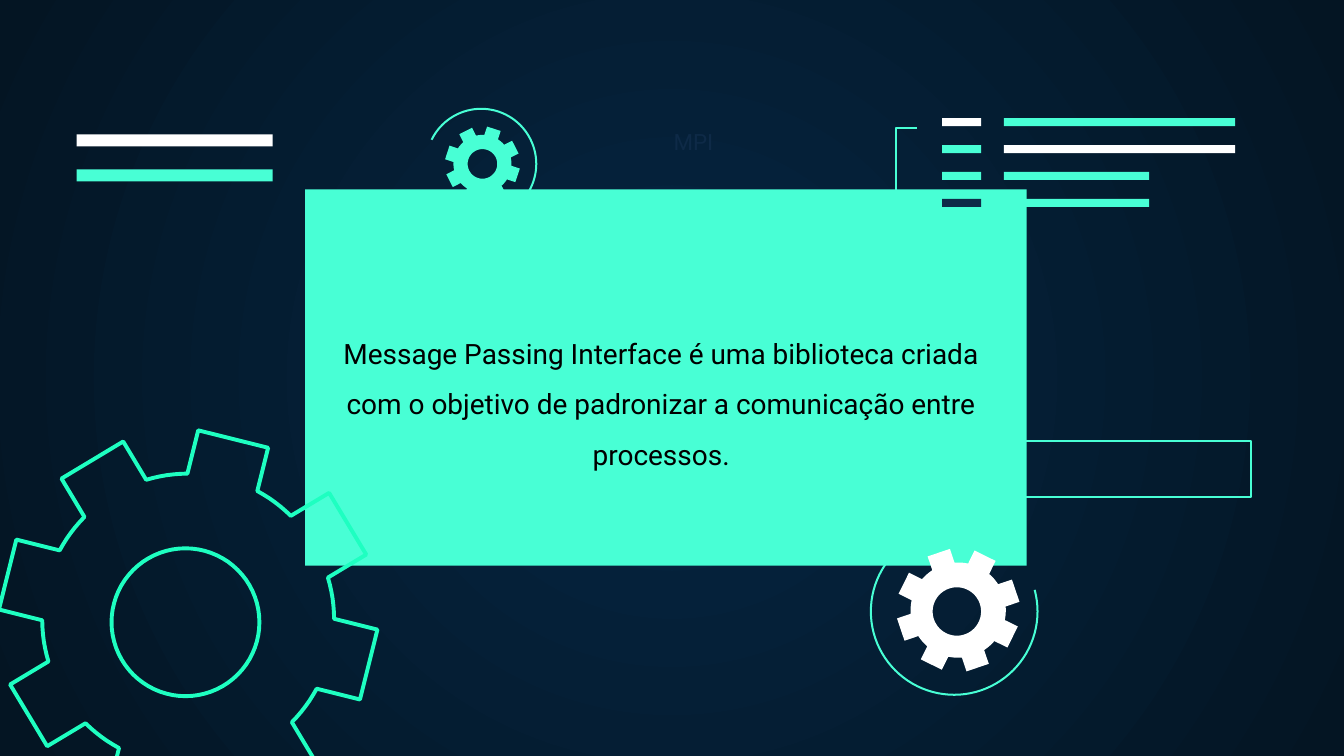
from math import asin, cos, radians, sin

from lxml.etree import SubElement
from pptx import Presentation
from pptx.dml.color import RGBColor
from pptx.enum.shapes import MSO_SHAPE
from pptx.enum.text import MSO_ANCHOR, PP_ALIGN
from pptx.oxml.ns import qn
from pptx.util import Inches, Pt

MINT, GREEN, WHITE, NAVY = "48FFD5", "1EFFC1", "FFFFFF", "0E2A47"


def color(hex_value):
    return RGBColor.from_string(hex_value)


def paint(shape, fill=None, line=None, width=1.09):
    """Give a shape a plain fill and line, or none, and no shadow."""
    shape.shadow.inherit = False
    for part, value in ((shape.fill, fill), (shape.line.fill, line)):
        if value:
            part.solid()
            part.fore_color.rgb = color(value)
        else:
            part.background()
    if line:
        shape.line.width = Pt(width)


presentation = Presentation()
presentation.slide_width = Inches(10)
presentation.slide_height = Inches(10 * 9 / 16)
slide = presentation.slides.add_slide(presentation.slide_layouts[6])
shapes = slide.shapes

# Background: radial gradient from the centre
background = slide.background.fill
background.gradient()
for stop, value in zip(background.gradient_stops, ("052643", "041523")):
    stop.color.rgb = color(value)
gradient = next(slide.element.iter(qn("a:gradFill")))
gradient.remove(gradient.find(qn("a:lin")))
radial = SubElement(gradient, qn("a:path"), path="circle")
SubElement(radial, qn("a:fillToRect"), l="50000", t="50000", r="50000", b="50000")

# Panel and the outlined box beside it
for left, top, width, height, fill, line in (
    (2.27, 1.41, 5.37, 2.8, MINT, None),
    (7.2, 3.28, 2.11, 0.42, None, MINT),
):
    box = shapes.add_shape(MSO_SHAPE.RECTANGLE, Inches(left), Inches(top), Inches(width), Inches(height))
    paint(box, fill, line)

# Arcs around the small gears: centre, radius, start and end in degrees
for x, y, radius, start, end in (
    (3.58, 1.22, 0.41, 206, 96),
    (7.1, 4.55, 0.62, 345, 233),
):
    arc = shapes.add_shape(
        MSO_SHAPE.ARC, Inches(x - radius), Inches(y - radius), Inches(2 * radius), Inches(2 * radius)
    )
    # Adjustments count 100000 to the unit, angles 60000 to the degree
    arc.adjustments[0] = start * 0.6
    arc.adjustments[1] = end * 0.6
    paint(arc, line=MINT)

# Gears with eight teeth: centre, tip radius, angle of a tooth, hole centre and radius
TEETH, ROOT_RATIO, HALF_TOOTH = 8, 0.77, 0.19
for x, y, tip, turn, hole_x, hole_y, hole, fill, line in (
    (1.4, 4.61, 1.41, 14, 1.38, 4.63, 0.55, None, GREEN),
    (7.13, 4.54, 0.46, 26.3, 7.12, 4.55, 0.18, WHITE, None),
    (3.59, 1.22, 0.28, 18, 3.59, 1.22, 0.11, MINT, None),
):
    root = ROOT_RATIO * tip
    tip_angle = asin(HALF_TOOTH)
    root_angle = asin(HALF_TOOTH / ROOT_RATIO)
    pitch = radians(360 / TEETH)
    valley = pitch - 2 * root_angle
    outline = []
    for tooth in range(TEETH):
        middle = radians(turn) + tooth * pitch
        corners = [(root, -root_angle), (tip, -tip_angle), (tip, tip_angle)]
        corners += [(root, root_angle + valley * step / 6) for step in range(6)]
        outline += [
            (Inches(x + radius * cos(middle + angle)), Inches(y + radius * sin(middle + angle)))
            for radius, angle in corners
        ]
    circle = [
        (Inches(hole_x + hole * cos(radians(angle))), Inches(hole_y + hole * sin(radians(angle))))
        for angle in range(360, 0, -5)
    ]
    builder = shapes.build_freeform(*outline[0])
    builder.add_line_segments(outline[1:], close=True)
    builder.move_to(*circle[0])
    builder.add_line_segments(circle[1:], close=True)
    paint(builder.convert_to_shape(), fill, line, 2.1)

# Bars: two at the left, and four rows of a short and a long one at the right
bars = [(0.57, 1, 1.46, 0.09, WHITE), (0.57, 1.26, 1.46, 0.09, MINT)]
for row, (short_color, long_width, long_color) in enumerate(
    ((WHITE, 1.72, MINT), (MINT, 1.72, WHITE), (MINT, 1.08, MINT), (NAVY, 1.08, MINT))
):
    top = 0.88 + row * 0.2
    bars += [(7.01, top, 0.29, 0.06, short_color), (7.47, top, long_width, 0.06, long_color)]
for left, top, width, height, fill in bars:
    bar = shapes.add_shape(MSO_SHAPE.RECTANGLE, Inches(left), Inches(top), Inches(width), Inches(height))
    paint(bar, fill)

# Bracket beside the bars
builder = shapes.build_freeform(Inches(6.83), Inches(1.56))
builder.add_line_segments(
    [(Inches(left), Inches(top)) for left, top in ((6.67, 1.56), (6.67, 0.95), (6.82, 0.95))], close=False
)
paint(builder.convert_to_shape(), line=MINT)

# Title and description
description = (
    "Message Passing Interface é uma biblioteca criada com o objetivo "
    "de padronizar a comunicação entre processos."
)
for text, left, top, width, height, inset, size, spacing, value in (
    ("MPI", 4.66, 0.95, 1, 0.2, 0, 12, 1, NAVY),
    (description, 2.25, 2.28, 5.34, 2.13, 0.1, 15, 1.5, "000000"),
):
    text_box = shapes.add_textbox(Inches(left), Inches(top), Inches(width), Inches(height))
    frame = text_box.text_frame
    frame.word_wrap = True
    frame.vertical_anchor = MSO_ANCHOR.TOP
    frame.margin_left = frame.margin_right = Inches(inset)
    frame.margin_top = frame.margin_bottom = Inches(inset)
    paragraph = frame.paragraphs[0]
    paragraph.alignment = PP_ALIGN.CENTER
    paragraph.line_spacing = float(spacing)
    run = paragraph.add_run()
    run.text = text
    run.font.name = "Roboto"
    run.font.size = Pt(size)
    run.font.color.rgb = color(value)

presentation.save("out.pptx")
